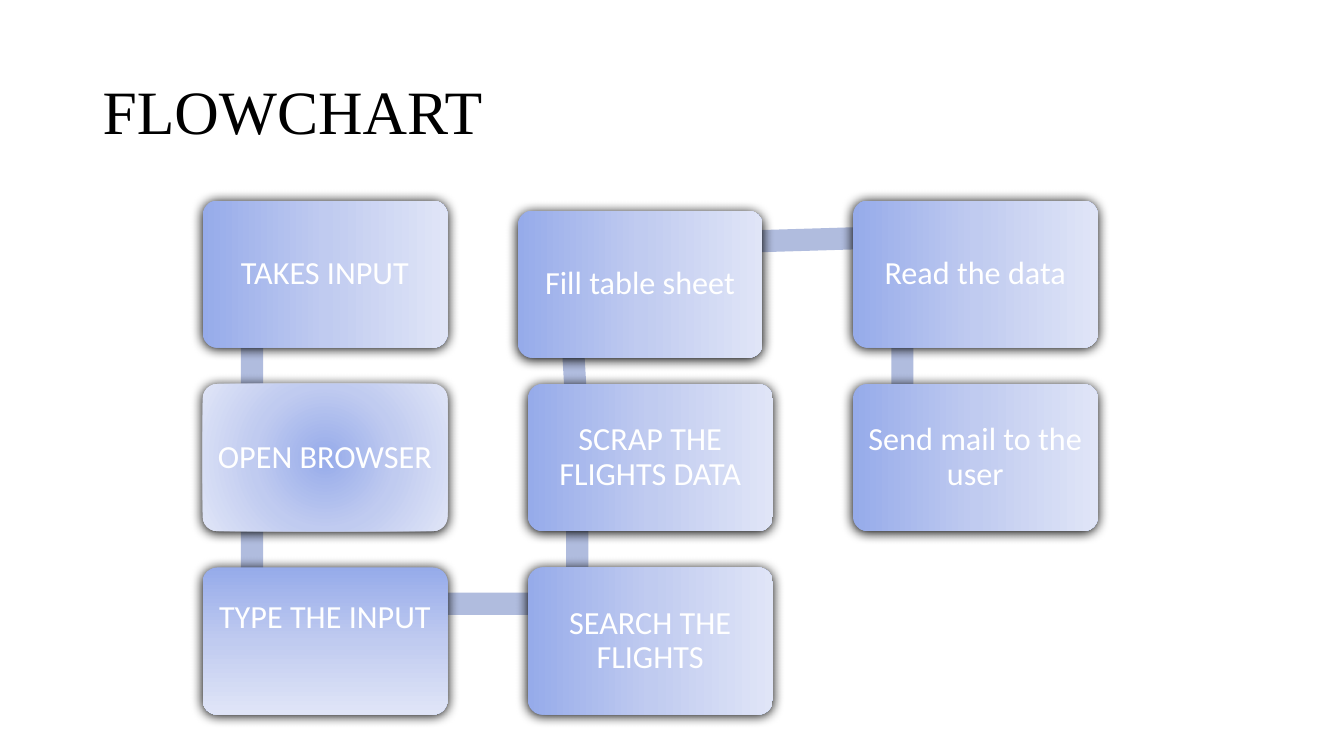
from math import atan2, degrees, hypot

from lxml import etree
from pptx import Presentation
from pptx.dml.color import RGBColor
from pptx.enum.shapes import MSO_SHAPE
from pptx.enum.text import MSO_ANCHOR, PP_ALIGN
from pptx.oxml import parse_xml
from pptx.oxml.ns import nsdecls
from pptx.util import Inches, Pt

# Content: text, column, row, gradient direction, in order of flow
TITLE = "FLOWCHART"
STEPS = [
    ("TAKES INPUT", 0, 0, "right"),
    ("OPEN BROWSER", 0, 1, "radial"),
    ("TYPE THE INPUT", 0, 2, "down"),
    ("SEARCH THE FLIGHTS", 1, 2, "right"),
    ("SCRAP THE FLIGHTS DATA", 1, 1, "right"),
    ("Fill table sheet", 1, 0, "right"),
    ("Read the data", 2, 0, "right"),
    ("Send mail to the user", 2, 1, "right"),
]
NUDGE = {"Fill table sheet": (-0.1, 0.1)}      # step moved off the grid
RAISED = {"TYPE THE INPUT": 0.46}              # extra space below the text

COLORS = {"title": "000000", "text": "FFFFFF", "bar": "B0BCDE",
          "start": "96ABEA", "middle": "C0CBF0", "end": "E0E5F7",
          "shadow": "000000"}
DIRECTIONS = {
    "right": '<a:lin ang="0" scaled="0"/>',
    "down": '<a:lin ang="5400000" scaled="0"/>',
    "radial": '<a:path path="circle"><a:fillToRect l="50000" t="50000" '
              'r="50000" b="50000"/></a:path>',
}

# Grid in inches
LEFT, TOP = 2.01, 1.99
STEP_X, STEP_Y = 3.225, 1.82
BOX_W, BOX_H = 2.43, 1.46
JOIN_X, JOIN_Y = 0.49, 0.36
BAR_H = 0.22
INSET = 0.1


def rgb(name):
    return RGBColor.from_string(COLORS[name])


def write(tf, text, align, **font):
    tf.word_wrap = True
    tf.vertical_anchor = MSO_ANCHOR.MIDDLE
    p = tf.paragraphs[0]
    p.alignment, p.line_spacing = align, 0.9
    r = p.add_run()
    r.text = text
    r.font.color.rgb = rgb(font.pop("color"))
    for key, value in font.items():
        setattr(r.font, key, value)


def add_plain(kind, x, y, w, h):
    sp = slide.shapes.add_shape(kind, Inches(x), Inches(y), Inches(w), Inches(h))
    sp.shadow.inherit = False
    sp.line.fill.background()
    return sp


def add_bar(start, end):
    (x1, y1), (x2, y2) = start, end
    length = hypot(x2 - x1, y2 - y1)
    sp = add_plain(MSO_SHAPE.RECTANGLE, (x1 + x2 - length) / 2,
                   (y1 + y2 - BAR_H) / 2, length, BAR_H)
    sp.rotation = degrees(atan2(y2 - y1, x2 - x1)) % 360
    sp.fill.solid()
    sp.fill.fore_color.rgb = rgb("bar")


def add_gradient(sp, direction):
    stops = "".join(
        f'<a:gs pos="{pos}"><a:srgbClr val="{COLORS[name]}"/></a:gs>'
        for pos, name in ((0, "start"), (50000, "middle"), (100000, "end")))
    fill = parse_xml(f'<a:gradFill {nsdecls("a")} rotWithShape="1">'
                     f'<a:gsLst>{stops}</a:gsLst>{DIRECTIONS[direction]}</a:gradFill>')
    sp._element.spPr.find("{*}prstGeom").addnext(fill)


def add_shadow(sp):
    effects = sp._element.spPr.find("{*}effectLst")
    effects.append(parse_xml(
        f'<a:outerShdw {nsdecls("a")} blurRad="{Pt(8.5)}" dist="{Pt(1)}" '
        f'dir="5400000" algn="ctr" rotWithShape="0">'
        f'<a:srgbClr val="{COLORS["shadow"]}"/></a:outerShdw>'))


def add_box(text, x, y, direction):
    sp = add_plain(MSO_SHAPE.ROUNDED_RECTANGLE, x, y, BOX_W, BOX_H)
    sp.adjustments[0] = 0.1
    add_gradient(sp, direction)
    add_shadow(sp)
    tf = sp.text_frame
    for side in ("left", "top", "right", "bottom"):
        setattr(tf, f"margin_{side}", Inches(INSET))
    tf.margin_bottom = Inches(INSET + RAISED.get(text, 0))
    write(tf, text, PP_ALIGN.CENTER, size=Pt(23), name="Calibri", color="text")


prs = Presentation()
prs.slide_width, prs.slide_height = Inches(13.33), Inches(7.5)
slide = prs.slides.add_slide(prs.slide_layouts[6])

# Title
title = slide.shapes.add_textbox(Inches(0.92), Inches(0.41), Inches(11.5), Inches(1.45))
write(title.text_frame, TITLE, PP_ALIGN.LEFT, size=Pt(44),
      name="Times New Roman", color="title")

# Box positions and the points the bars join
corners = []
for text, col, row, _ in STEPS:
    dx, dy = NUDGE.get(text, (0, 0))
    corners.append((LEFT + col * STEP_X + dx, TOP + row * STEP_Y + dy))
joins = [(x + JOIN_X, y + JOIN_Y) for x, y in corners]

# Bars behind, boxes in front
for start, end in zip(joins, joins[1:]):
    add_bar(start, end)
for (text, _, _, direction), (x, y) in zip(STEPS, corners):
    add_box(text, x, y, direction)

prs.save("out.pptx")
